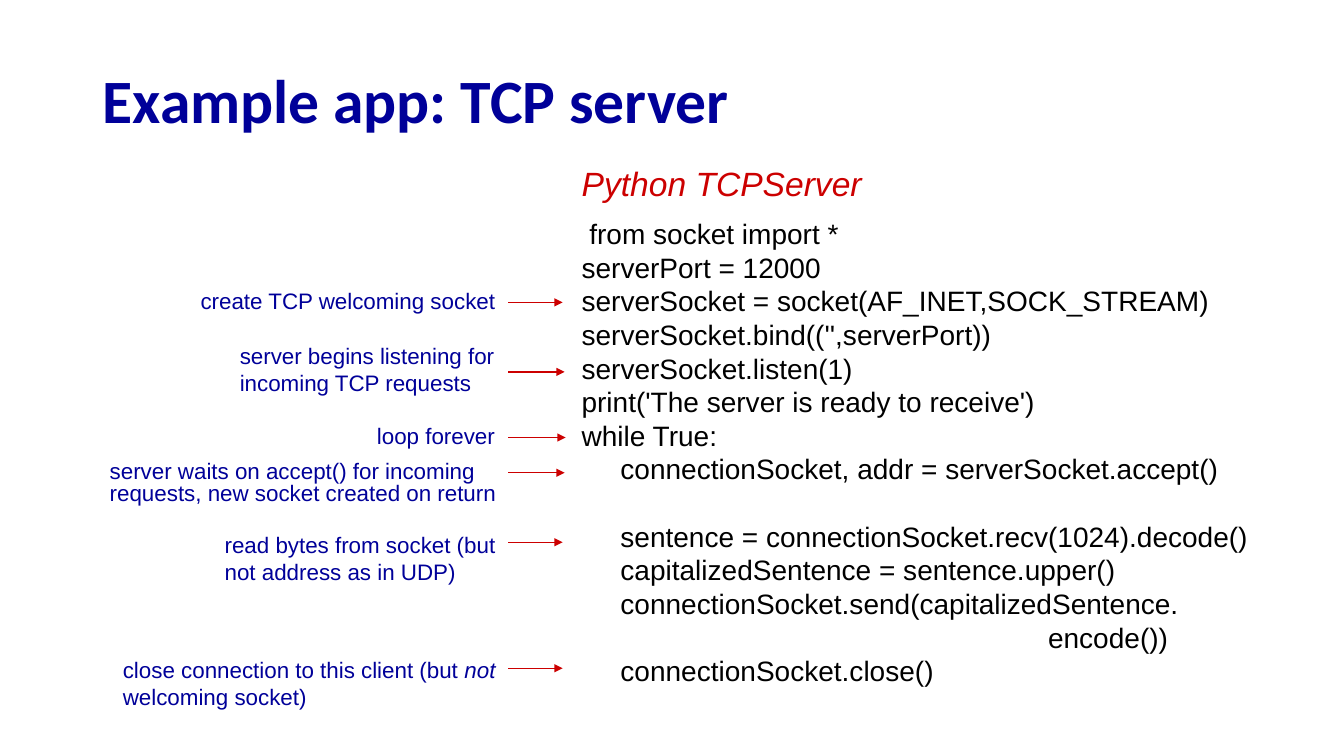
import pptx
import pptx.dml.color
import pptx.enum.shapes
import pptx.enum.text
import pptx.oxml
import pptx.oxml.ns
import pptx.util

PX = 9144  # 100 px to the inch
COLORS = {"navy": "000099", "red": "CC0000", "black": "000000"}
LEADING = 1.2
ARROW_LEFT = 504

SETUP_CODE = [
    " from socket import *",
    "serverPort = 12000",
    "serverSocket = socket(AF_INET,SOCK_STREAM)",
    "serverSocket.bind(('',serverPort))",
    "serverSocket.listen(1)",
    "print('The server is ready to receive')",
    "while True:",
    "     connectionSocket, addr = serverSocket.accept()",
]
REPLY_CODE = [
    "     sentence = connectionSocket.recv(1024).decode()",
    "     capitalizedSentence = sentence.upper()",
    "     connectionSocket.send(capitalizedSentence.",
    "                                                            encode())",
    "     connectionSocket.close()",
]

# box, arrow drop below the box top, arrow length, leading, spans of (text, italic)
NOTES = [
    ((189, 280, 335, 37), 20, 54, LEADING, [("create TCP welcoming socket", False)]),
    ((228, 335, 314, 64), 34, 56, LEADING,
     [("server begins listening for incoming TCP requests", False)]),
    ((364, 418, 203, 33), 16, 57, 1, [("loop forever", False)]),
    ((99, 453, 450, 55), 16, 56, 1,
     [("server waits on accept() for incoming requests, new socket created on return", False)]),
    ((213, 522, 300, 64), 16, 54, LEADING,
     [("read bytes from socket (but not address as in UDP)", False)]),
    ((112, 646, 427, 64), 17, 54, LEADING,
     [("close connection to this client (but ", False), ("not", True),
      (" welcoming socket)", False)]),
]


def color(name):
    return pptx.dml.color.RGBColor.from_string(COLORS[name])


def add_box(page, box, wrap=True):
    """Add an empty text box and return its text frame."""
    frame = page.shapes.add_textbox(*(side * PX for side in box)).text_frame
    frame.word_wrap = wrap
    return frame


def add_span(para, text, size, ink, font="Arial", bold=False, italic=False):
    span = para.add_run()
    span.text = text
    span.font.name = font
    span.font.size = pptx.util.Pt(size)
    span.font.bold = bold
    span.font.italic = italic
    span.font.color.rgb = color(ink)


def set_leading(para, size, leading=LEADING):
    para.line_spacing = pptx.util.Pt(size * leading)


def add_title(page, box):
    frame = add_box(page, box)
    frame.vertical_anchor = pptx.enum.text.MSO_ANCHOR.MIDDLE
    add_span(frame.paragraphs[0], "Example app: TCP server", 44, "navy", "Calibri", bold=True)


def add_listing(page, box):
    """Place the listing's heading at the top of the box and its code below."""
    left, top, width, height = box
    heading = add_box(page, (left, top, 309, 51), wrap=False).paragraphs[0]
    set_leading(heading, 24)
    add_span(heading, "Python TCPServer", 24, "red", italic=True)

    frame = add_box(page, (left, top + 53, width, height - 53), wrap=False)
    for index, line in enumerate(SETUP_CODE + REPLY_CODE):
        para = frame.add_paragraph() if index else frame.paragraphs[0]
        set_leading(para, 20)
        if index == len(SETUP_CODE):
            para.space_before = pptx.util.Pt(20 * LEADING)
        add_span(para, line, 20, "black")


def add_arrow(page, left, top, length):
    arrow = page.shapes.add_connector(
        pptx.enum.shapes.MSO_CONNECTOR.STRAIGHT,
        left * PX, top * PX, (left + length) * PX, top * PX)
    arrow.line.color.rgb = color("red")
    arrow.line.width = pptx.util.Pt(1)
    head = pptx.oxml.parse_xml(
        f'<a:tailEnd {pptx.oxml.ns.nsdecls("a")} type="triangle"/>')
    arrow.line._get_or_add_ln().append(head)
    effects = pptx.oxml.parse_xml(f'<a:effectLst {pptx.oxml.ns.nsdecls("a")}/>')
    arrow._element.spPr.append(effects)


def add_note(page, box, drop, length, leading, spans):
    """Place a remark in the box, with an arrow towards its line of code."""
    para = add_box(page, box).paragraphs[0]
    set_leading(para, 16, leading)
    for text, italic in spans:
        add_span(para, text, 16, "navy", italic=italic)
    add_arrow(page, ARROW_LEFT, box[1] + drop, length)


def main():
    deck = pptx.Presentation()
    deck.slide_width = 1333 * PX
    deck.slide_height = 750 * PX
    page = deck.slides.add_slide(deck.slide_layouts[6])
    add_title(page, (92, 49, 1150, 98))
    add_listing(page, (567, 157, 686, 534))
    for note in NOTES:
        add_note(page, *note)
    deck.save("out.pptx")


if __name__ == "__main__":
    main()
